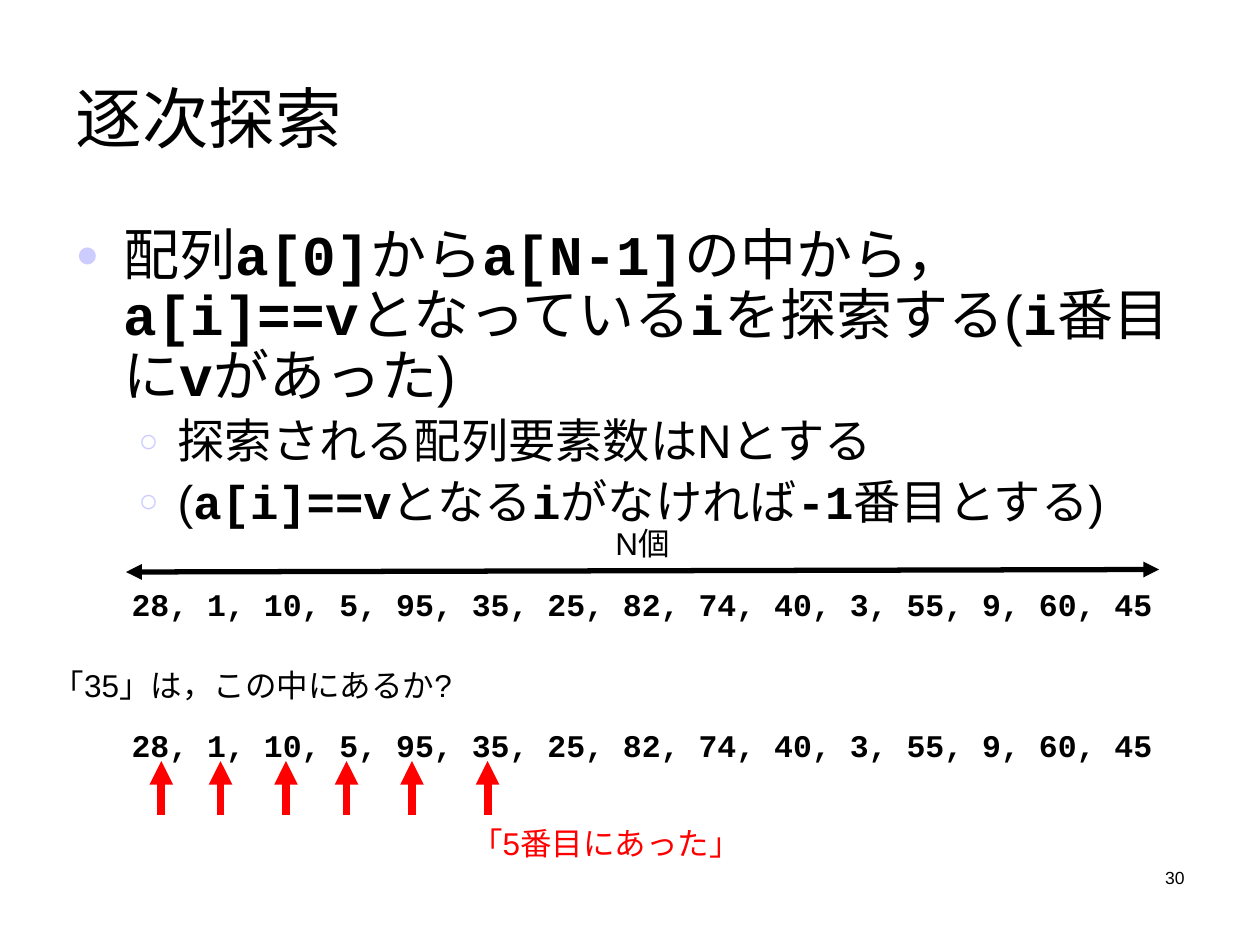
from lxml import etree
from pptx import Presentation
from pptx.dml.color import RGBColor
from pptx.enum.shapes import MSO_CONNECTOR
from pptx.enum.text import MSO_ANCHOR, MSO_AUTO_SIZE, PP_ALIGN
from pptx.oxml.ns import qn
from pptx.util import Inches, Pt

LEFT, CENTER, RIGHT = PP_ALIGN.LEFT, PP_ALIGN.CENTER, PP_ALIGN.RIGHT
TOP, MIDDLE = MSO_ANCHOR.TOP, MSO_ANCHOR.MIDDLE
STRAIGHT = MSO_CONNECTOR.STRAIGHT
NO_FIT = MSO_AUTO_SIZE.NONE

COLORS = {"text": "000000", "bullet": "CCCCFF", "found": "FF0000"}
SANS, MONO = "Arial", "Courier New"
ARRAY = "28, 1, 10, 5, 95, 35, 25, 82, 74, 40, 3, 55, 9, 60, 45"

POINTS = [
    (0, 32, [("配列", SANS), ("a[0]", MONO), ("から", SANS), ("a[N-1]", MONO),
             ("の中から，", SANS), ("a[i]==v", MONO), ("となっている", SANS),
             ("i", MONO), ("を探索する(", SANS), ("i", MONO), ("番目に", SANS),
             ("v", MONO), ("があった)", SANS)]),
    (1, 27, [("探索される配列要素数はNとする", SANS)]),
    (1, 27, [("(", SANS), ("a[i]==v", MONO), ("となる", SANS), ("i", MONO),
             ("がなければ", SANS), ("-1", MONO), ("番目とする)", SANS)]),
]
LEVELS = [(0.38, -0.38, "●"), (0.81, -0.31, "○")]


def add_xml(parent, tag, **attributes):
    return etree.SubElement(parent, qn(tag), **attributes)


def add_run(paragraph, text, size=18, font=SANS, color="text", bold=False):
    run = paragraph.add_run()
    run.text = text
    run.font.size = Pt(size)
    run.font.name = font
    run.font.bold = bold
    run.font.color.rgb = RGBColor.from_string(COLORS[color])


def place(part, left, top, width, height):
    part.left, part.top = Inches(left), Inches(top)
    part.width, part.height = Inches(width), Inches(height)


def add_label(slide, text, box, align=LEFT, **style):
    frame = slide.shapes.add_textbox(*map(Inches, box)).text_frame
    frame.word_wrap = True
    frame.paragraphs[0].alignment = align
    add_run(frame.paragraphs[0], text, **style)


def add_arrow(slide, start, end, width, color="text", both_ends=False):
    arrow = slide.shapes.add_connector(STRAIGHT, *map(Inches, start + end))
    arrow.line.width = Pt(width)
    arrow.line.color.rgb = RGBColor.from_string(COLORS[color])
    outline = arrow.line._get_or_add_ln()
    if both_ends:
        add_xml(outline, "a:headEnd", type="triangle")
    add_xml(outline, "a:tailEnd", type="triangle")
    add_xml(arrow._element.spPr, "a:effectLst")


def add_title(slide, text, box):
    title = slide.shapes.title
    place(title, *box)
    frame = title.text_frame
    frame.auto_size = NO_FIT
    frame.vertical_anchor = MIDDLE
    frame.paragraphs[0].alignment = LEFT
    add_run(frame.paragraphs[0], text, size=38)


def add_points(slide, points, box):
    body = slide.placeholders[1]
    place(body, *box)
    frame = body.text_frame
    frame.auto_size = NO_FIT
    frame.vertical_anchor = TOP
    for index, (level, size, parts) in enumerate(points):
        paragraph = frame.add_paragraph() if index else frame.paragraphs[0]
        paragraph.level = level
        paragraph.line_spacing = 0.9
        margin, indent, bullet = LEVELS[level]
        properties = paragraph._p.get_or_add_pPr()
        properties.set("marL", str(Inches(margin)))
        properties.set("indent", str(Inches(indent)))
        add_xml(add_xml(properties, "a:spcBef"), "a:spcPct", val="20000")
        add_xml(add_xml(properties, "a:buClr"), "a:srgbClr", val=COLORS["bullet"])
        add_xml(properties, "a:buSzPct", val="70000")
        add_xml(properties, "a:buFont", typeface=SANS)
        add_xml(properties, "a:buChar", char=bullet)
        for text, font in parts:
            add_run(paragraph, text, size=size, font=font, bold=font == MONO)


def add_array(slide, left, top):
    add_label(slide, ARRAY, (left, top, 8.87, 0.4), align=CENTER, font=MONO, bold=True)


def add_measured_array(slide, left, top):
    add_array(slide, left, top + 0.48)
    add_arrow(slide, (left + 0.34, top + 0.43), (left + 8.54, top + 0.41), 3,
              both_ends=True)
    add_label(slide, "N個", (left + 4.05, top, 0.78, 0.4), align=CENTER)


def add_search(slide, left, top):
    add_label(slide, "「35」は，この中にあるか?", (left - 0.34, top, 3.65, 0.4))
    add_array(slide, left, top + 0.47)
    for offset in (0.62, 1.09, 1.61, 2.09, 2.61, 3.21):
        add_arrow(slide, (left + offset, top + 1.23), (left + offset, top + 0.8), 4.5,
                  color="found")
    add_label(slide, "「5番目にあった」", (left + 2.98, top + 1.25, 4.32, 0.4),
              color="found")


presentation = Presentation()
presentation.slide_width, presentation.slide_height = Inches(10), Inches(7.5)
search_slide = presentation.slides.add_slide(presentation.slide_layouts[1])
add_title(search_slide, "逐次探索", (0.5, 0.3, 9, 1.25))
add_points(search_slide, POINTS, (0.5, 1.75, 9, 2.24))
add_measured_array(search_slide, 0.66, 4.11)
add_search(search_slide, 0.66, 5.24)
add_label(search_slide, "30", (7.17, 6.83, 2.33, 0.5), align=RIGHT, size=10)
presentation.save("out.pptx")
